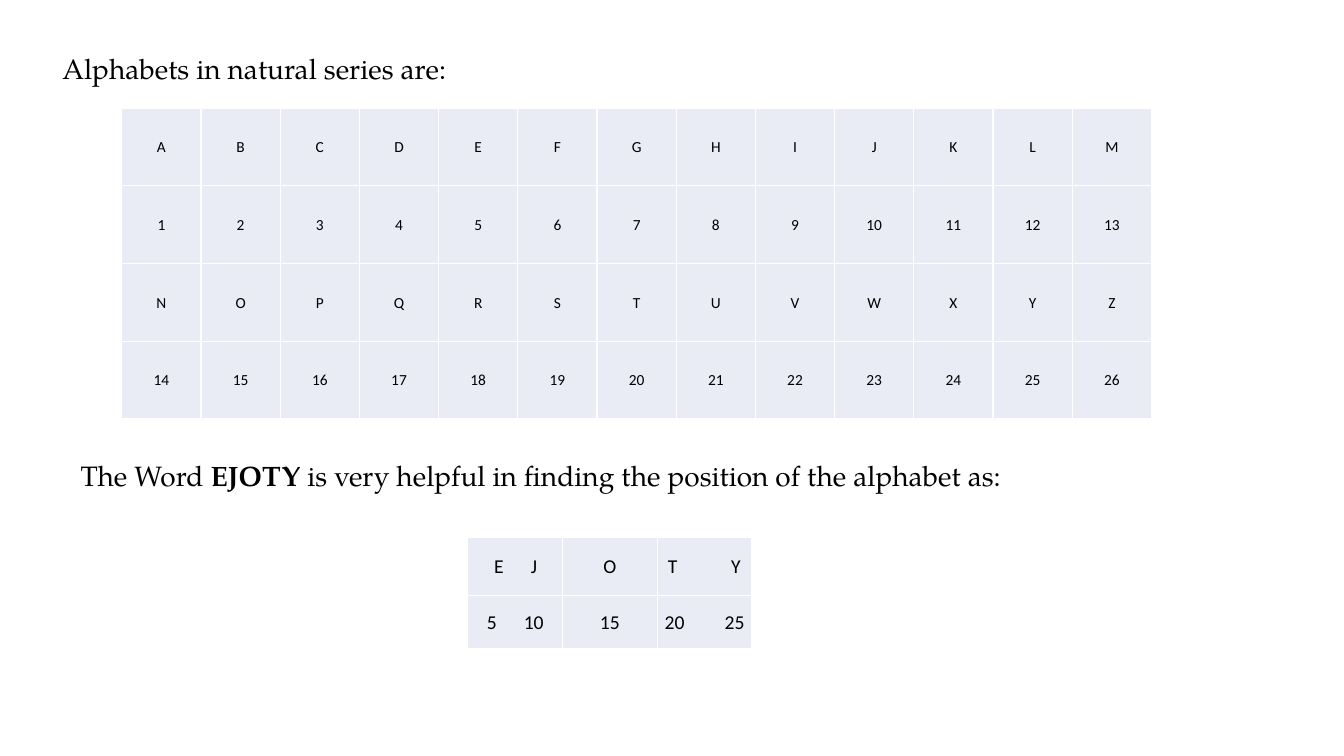
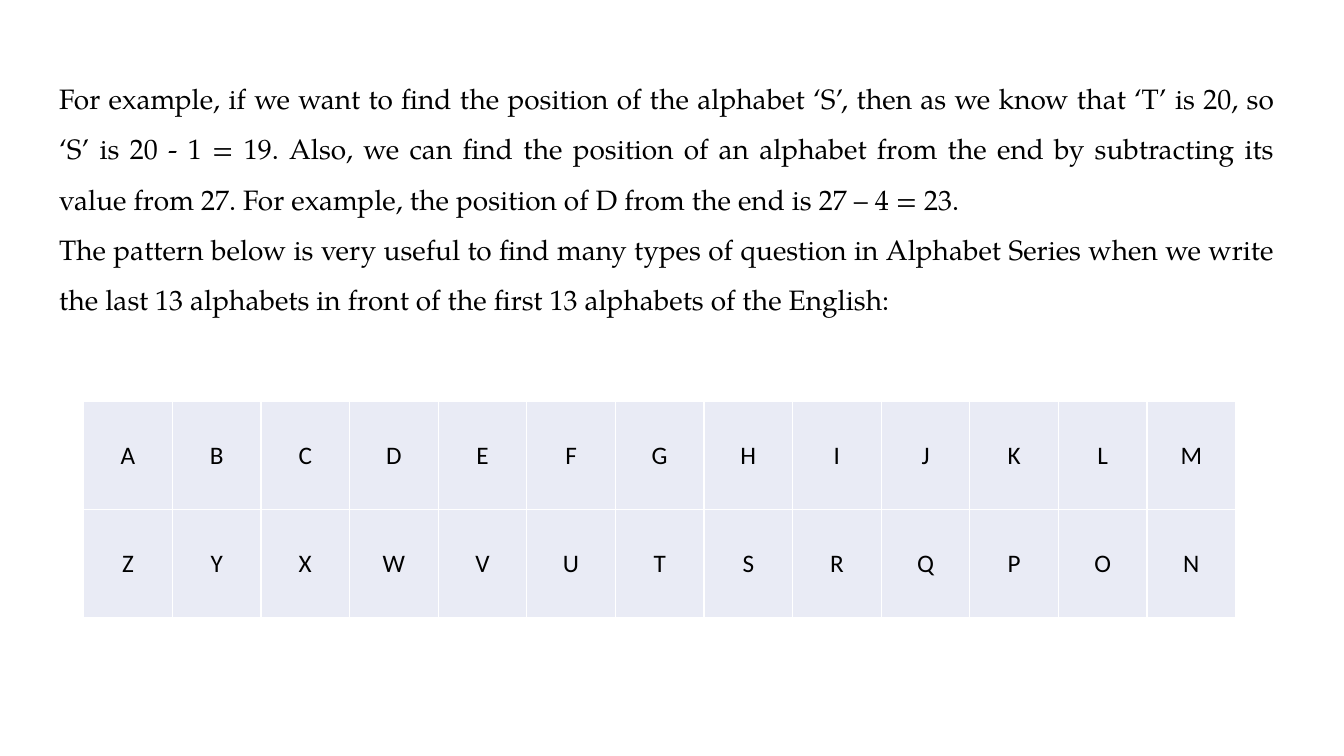
from dataclasses import dataclass

from lxml.etree import SubElement
from pptx import Presentation
from pptx.dml.color import RGBColor
from pptx.enum.text import MSO_ANCHOR, MSO_AUTO_SIZE, PP_ALIGN
from pptx.oxml.ns import qn
from pptx.util import Cm, Pt


# Theme: colours, fonts and type sizes
@dataclass(frozen=True)
class Theme:
    ink: str = "000000"
    cell: str = "E9EBF5"
    border: str = "FFFFFF"
    body_font: str = "TeX Gyre Pagella"
    table_font: str = "Calibri"
    body: int = 20
    small: int = 11
    medium: int = 14
    large: int = 18


THEME = Theme()
LETTERS = "ABCDEFGHIJKLMNOPQRSTUVWXYZ"
HALF = len(LETTERS) // 2


# Text
def write(para, text, font=THEME.body_font, size=THEME.body, bold=False):
    span = para.add_run()
    span.text = text
    span.font.name = font
    span.font.size = Pt(size)
    span.font.bold = bold
    span.font.color.rgb = RGBColor.from_string(THEME.ink)


def add_text(page, left, top, width, height, paragraphs, align=None, spacing=None):
    """Each paragraph is a list of (text, bold) pairs."""
    box = page.shapes.add_textbox(Cm(left), Cm(top), Cm(width), Cm(height))
    frame = box.text_frame
    frame.word_wrap = True
    frame.auto_size = MSO_AUTO_SIZE.SHAPE_TO_FIT_TEXT
    for index, pieces in enumerate(paragraphs):
        para = frame.add_paragraph() if index else frame.paragraphs[0]
        para.alignment = align
        para.line_spacing = spacing
        for text, bold in pieces:
            write(para, text, bold=bold)


# Tables
def set_borders(cell):
    properties = cell._tc.get_or_add_tcPr()
    for side in ("a:lnL", "a:lnR", "a:lnT", "a:lnB"):
        line = SubElement(properties, qn(side), w=str(Pt(1)))
        fill = SubElement(line, qn("a:solidFill"))
        SubElement(fill, qn("a:srgbClr"), val=THEME.border)


def set_tab(para, position):
    stops = SubElement(para._p.get_or_add_pPr(), qn("a:tabLst"))
    SubElement(stops, qn("a:tab"), pos=str(Cm(position)), algn="l")


def fill_cell(cell, content, size):
    """Content is a text, or a pair of texts with its indent and tab stop."""
    set_borders(cell)
    cell.fill.solid()
    cell.fill.fore_color.rgb = RGBColor.from_string(THEME.cell)
    cell.vertical_anchor = MSO_ANCHOR.MIDDLE
    cell.margin_left = cell.margin_right = cell.margin_top = Cm(0.02)
    cell.margin_bottom = 0
    para = cell.text_frame.paragraphs[0]
    if isinstance(content, str):
        text = content
        para.alignment = PP_ALIGN.CENTER
    else:
        first, second, indent, stop = content
        text = f"{first}\t{second}"
        para.alignment = PP_ALIGN.LEFT
        cell.margin_left = Cm(indent)
        set_tab(para, stop)
    write(para, text, font=THEME.table_font, size=size)


def add_grid(page, left, top, width, row_heights, rows, size):
    columns = len(rows[0])
    frame = page.shapes.add_table(len(rows), columns, Cm(left), Cm(top),
                                  Cm(width), Cm(sum(row_heights)))
    table = frame.table
    table.first_row = table.horz_banding = False
    for column in table.columns:
        column.width = Cm(width / columns)
    for row, height, contents in zip(table.rows, row_heights, rows):
        row.height = Cm(height)
        for cell, content in zip(row.cells, contents):
            fill_cell(cell, content, size)


# Slides
def add_page(deck):
    return deck.slides.add_slide(deck.slide_layouts[6])


def build_positions(deck):
    page = add_page(deck)
    add_text(page, 1.32, 1.17, 30.91, 1.88,
             [[("Alphabets in natural series are:", False)]])
    numbers = [str(number) for number in range(1, len(LETTERS) + 1)]
    series = [LETTERS[:HALF], numbers[:HALF], LETTERS[HALF:], numbers[HALF:]]
    add_grid(page, 3.07, 2.72, 25.95, [1.96] * 4, series, THEME.small)

    add_text(page, 1.78, 11.43, 25.15, 1.12, [[
        ("The Word ", False),
        ("EJOTY ", True),
        ("is very helpful in finding the position of the alphabet as:", False),
    ]])
    ejoty = [
        [("E", "J", 0.66, 0.93), "O", ("T", "Y", 0.27, 1.59)],
        [("5", "10", 0.48, 0.93), "15", ("20", "25", 0.19, 1.51)],
    ]
    add_grid(page, 11.79, 13.54, 7.16, [1.46, 1.35], ejoty, THEME.medium)


def build_pattern(deck):
    page = add_page(deck)
    add_text(page, 1.24, 1.5, 31.14, 6.55, [
        [("For example, if we want to find the position of the alphabet ‘S’, "
          "then as we know that ‘T’ is 20, so ‘S’ is 20 - 1 = 19. Also, we can "
          "find the position of an alphabet from the end by subtracting its "
          "value from 27. For example, the position of D from the end is "
          "27 – 4 = 23.", False)],
        [("The pattern below is very useful to find many types of question in "
          "Alphabet Series when we write the last 13 alphabets in front of the "
          "first 13 alphabets of the English:", False)],
    ], align=PP_ALIGN.JUSTIFY, spacing=1.5)
    mirrored = [LETTERS[:HALF], LETTERS[:HALF - 1:-1]]
    add_grid(page, 2.11, 10.11, 29.03, [2.72] * 2, mirrored, THEME.large)


def main():
    deck = Presentation()
    deck.slide_width, deck.slide_height = Cm(33.87), Cm(19.05)
    build_positions(deck)
    build_pattern(deck)
    deck.save("out.pptx")


main()
